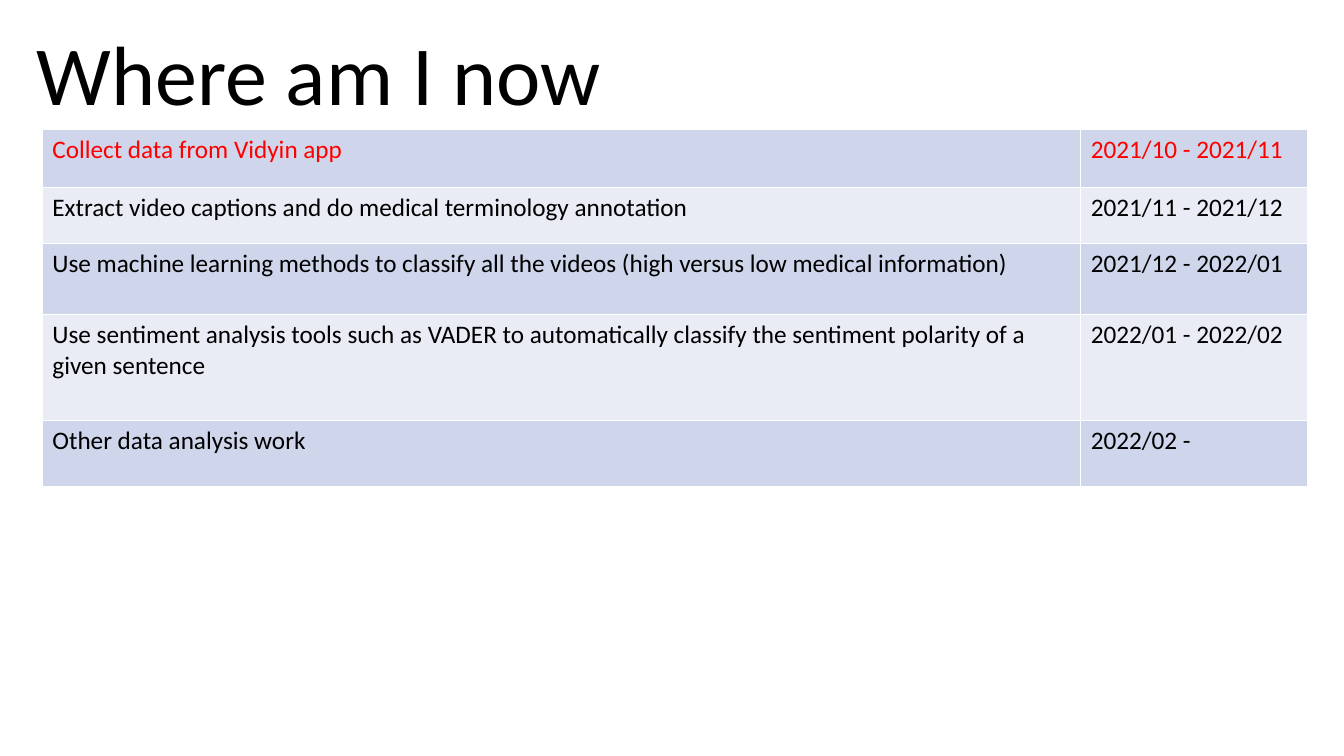
import lxml.etree
import pptx
import pptx.dml.color
import pptx.enum.text
import pptx.oxml.ns
import pptx.util

Inches = pptx.util.Inches
Pt = pptx.util.Pt

FONT = "Calibri"
COLORS = {
    "text": "000000",
    "current": "FF0000",
    "odd_row": "CFD5EA",
    "even_row": "E9EBF5",
    "border": "FFFFFF",
}

COLUMN_WIDTHS = [10.3, 2.25]

# Task, period, row height
PLAN = [
    ("Collect data from Vidyin app", "2021/10 - 2021/11", 0.58),
    ("Extract video captions and do medical terminology annotation",
     "2021/11 - 2021/12", 0.56),
    ("Use machine learning methods to classify all the videos "
     "(high versus low medical information)", "2021/12 - 2022/01", 0.7),
    ("Use sentiment analysis tools such as VADER to automatically classify "
     "the sentiment polarity of a given sentence", "2022/01 - 2022/02", 1.05),
    ("Other data analysis work", "2022/02 -", 0.66),
]
CURRENT_STEP = 0


def rgb(name):
    return pptx.dml.color.RGBColor.from_string(COLORS[name])


def write(text_frame, text, size, color):
    text_frame.text = text
    font = text_frame.paragraphs[0].runs[0].font
    font.name = FONT
    font.size = Pt(size)
    font.color.rgb = rgb(color)


def add_title(slide, text):
    title = slide.shapes.add_textbox(0, 0, Inches(6.32), Inches(1.28))
    frame = title.text_frame
    frame.word_wrap = True
    frame.vertical_anchor = pptx.enum.text.MSO_ANCHOR.BOTTOM
    write(frame, text, 60, "text")
    frame.paragraphs[0].alignment = pptx.enum.text.PP_ALIGN.CENTER
    frame.paragraphs[0].line_spacing = 0.9


def set_borders(cell):
    properties = cell._tc.get_or_add_tcPr()
    # Border lines come before the fill in the cell properties
    for position, side in enumerate(("lnL", "lnR", "lnT", "lnB")):
        line = lxml.etree.Element(pptx.oxml.ns.qn(f"a:{side}"), w=str(Pt(1)))
        fill = lxml.etree.SubElement(line, pptx.oxml.ns.qn("a:solidFill"))
        lxml.etree.SubElement(fill, pptx.oxml.ns.qn("a:srgbClr"),
                              val=COLORS["border"])
        properties.insert(position, line)


def add_plan(slide, plan):
    height = sum(row_height for _, _, row_height in plan)
    table = slide.shapes.add_table(
        len(plan), len(COLUMN_WIDTHS), Inches(0.42), Inches(1.28),
        Inches(sum(COLUMN_WIDTHS)), Inches(height)).table
    table.first_row = False
    for column, width in zip(table.columns, COLUMN_WIDTHS):
        column.width = Inches(width)

    for step, (task, period, row_height) in enumerate(plan):
        table.rows[step].height = Inches(row_height)
        color = "current" if step == CURRENT_STEP else "text"
        for column, text in enumerate((task, period)):
            cell = table.cell(step, column)
            write(cell.text_frame, text, 18, color)
            cell.fill.solid()
            cell.fill.fore_color.rgb = rgb("even_row" if step % 2 else "odd_row")
            set_borders(cell)


def main():
    deck = pptx.Presentation()
    deck.slide_width = Inches(13.33)
    deck.slide_height = Inches(7.5)
    slide = deck.slides.add_slide(deck.slide_layouts[6])

    add_title(slide, "Where am I now")
    add_plan(slide, PLAN)

    deck.save("out.pptx")


if __name__ == "__main__":
    main()
